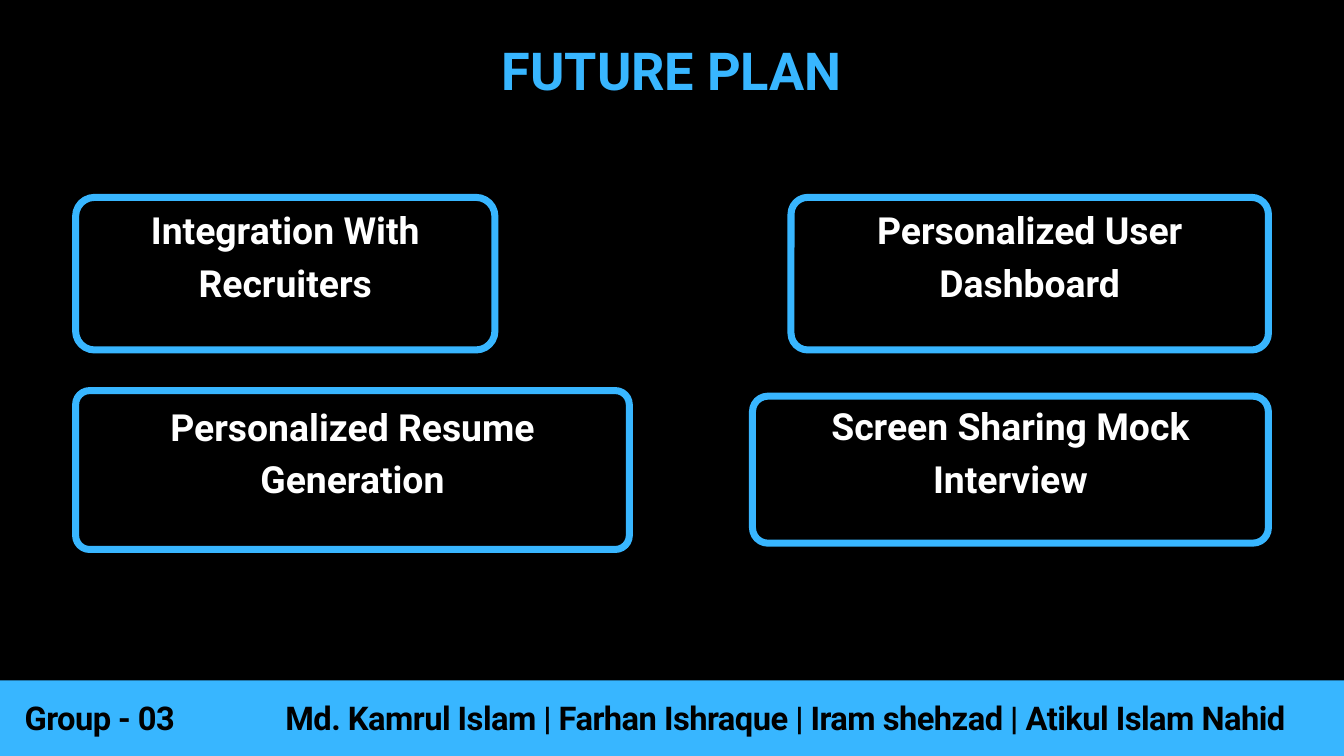
from dataclasses import dataclass

from pptx import Presentation
from pptx.dml.color import RGBColor
from pptx.enum.shapes import MSO_SHAPE as SHAPE
from pptx.enum.text import MSO_ANCHOR as ANCHOR, PP_ALIGN as ALIGN
from pptx.util import Emu, Pt

PX = 9525  # EMU per px, 96 px to the inch
WIDTH, HEIGHT = 1920, 1080


@dataclass(frozen=True)
class Theme:
    font: str = "Roboto"
    black: RGBColor = RGBColor(0x00, 0x00, 0x00)
    white: RGBColor = RGBColor(0xFF, 0xFF, 0xFF)
    accent: RGBColor = RGBColor(0x38, 0xB6, 0xFF)
    title: int = 56
    card: int = 40
    footer: int = 35
    leading: float = 1.4
    border: float = 7.5


class Deck:
    def __init__(self, theme):
        self.theme = theme
        self.prs = Presentation()
        self.prs.slide_width, self.prs.slide_height = self.px(WIDTH, HEIGHT)
        self.s = self.prs.slides.add_slide(self.prs.slide_layouts[6])
        fill = self.s.background.fill
        fill.solid()
        fill.fore_color.rgb = theme.black

    def px(self, *lengths):
        return [Emu(n * PX) for n in lengths]

    def text(self, box, words, size, color, inset=0, anchor=ANCHOR.TOP, spacing=0):
        tf = self.s.shapes.add_textbox(*self.px(*box)).text_frame
        frame = {"word_wrap": True, "vertical_anchor": anchor}
        for side in ("left", "top", "right", "bottom"):
            frame[f"margin_{side}"] = Emu(inset * PX)
        for name, value in frame.items():
            setattr(tf, name, value)
        p = tf.paragraphs[0]
        p.alignment = ALIGN.CENTER
        p.line_spacing = Pt(size * self.theme.leading)
        r = p.add_run()
        r.text = words
        for name, value in {"name": self.theme.font, "size": Pt(size), "bold": True}.items():
            setattr(r.font, name, value)
        r.font.color.rgb = color
        if spacing:
            r._r.get_or_add_rPr().set("spc", str(spacing))

    def bar(self, box):
        sp = self.s.shapes.add_shape(SHAPE.RECTANGLE, *self.px(*box))
        sp.shadow.inherit = False
        sp.fill.solid()
        sp.fill.fore_color.rgb = self.theme.accent
        sp.line.fill.background()

    def card(self, box, radius, words):
        x, y, w, h = box
        sp = self.s.shapes.add_shape(SHAPE.ROUNDED_RECTANGLE, *self.px(*box))
        sp.adjustments[0] = radius / h
        sp.shadow.inherit = False
        sp.fill.background()
        sp.line.color.rgb = self.theme.accent
        sp.line.width = Pt(self.theme.border)
        # The label box starts above the outline, which lifts the words
        lift = 61
        self.text((x, y - lift, w, h + lift), words, self.theme.card,
                  self.theme.white, inset=6, anchor=ANCHOR.MIDDLE)


def main():
    theme = Theme()
    deck = Deck(theme)

    # Footer
    bar_height = 108
    deck.bar((0, HEIGHT - bar_height, WIDTH, bar_height))
    footer = [
        (21, 243, "Group - 03"),
        (361, 1522, "Md. Kamrul Islam | Farhan Ishraque | Iram shehzad | Atikul Islam Nahid"),
    ]
    for x, w, words in footer:
        deck.text((x, 987, w, 67), words, theme.footer, theme.black, spacing=-60)

    # Title
    title_width = 910
    deck.text(((WIDTH - title_width) // 2, 40, title_width, 112),
              "FUTURE PLAN", theme.title, theme.accent)

    # Cards, each flush with the left or right margin
    margin = 108
    cards = [
        ("left", 282, 599, 218, 27, "Integration With Recruiters"),
        ("right", 282, 682, 218, 24, "Personalized User Dashboard"),
        ("left", 558, 791, 227, 20, "Personalized Resume Generation"),
        ("right", 566, 737, 210, 22, "Screen Sharing Mock Interview"),
    ]
    for side, y, w, h, radius, words in cards:
        x = margin if side == "left" else WIDTH - margin - w
        deck.card((x, y, w, h), radius, words)

    deck.prs.save("out.pptx")


if __name__ == "__main__":
    main()
